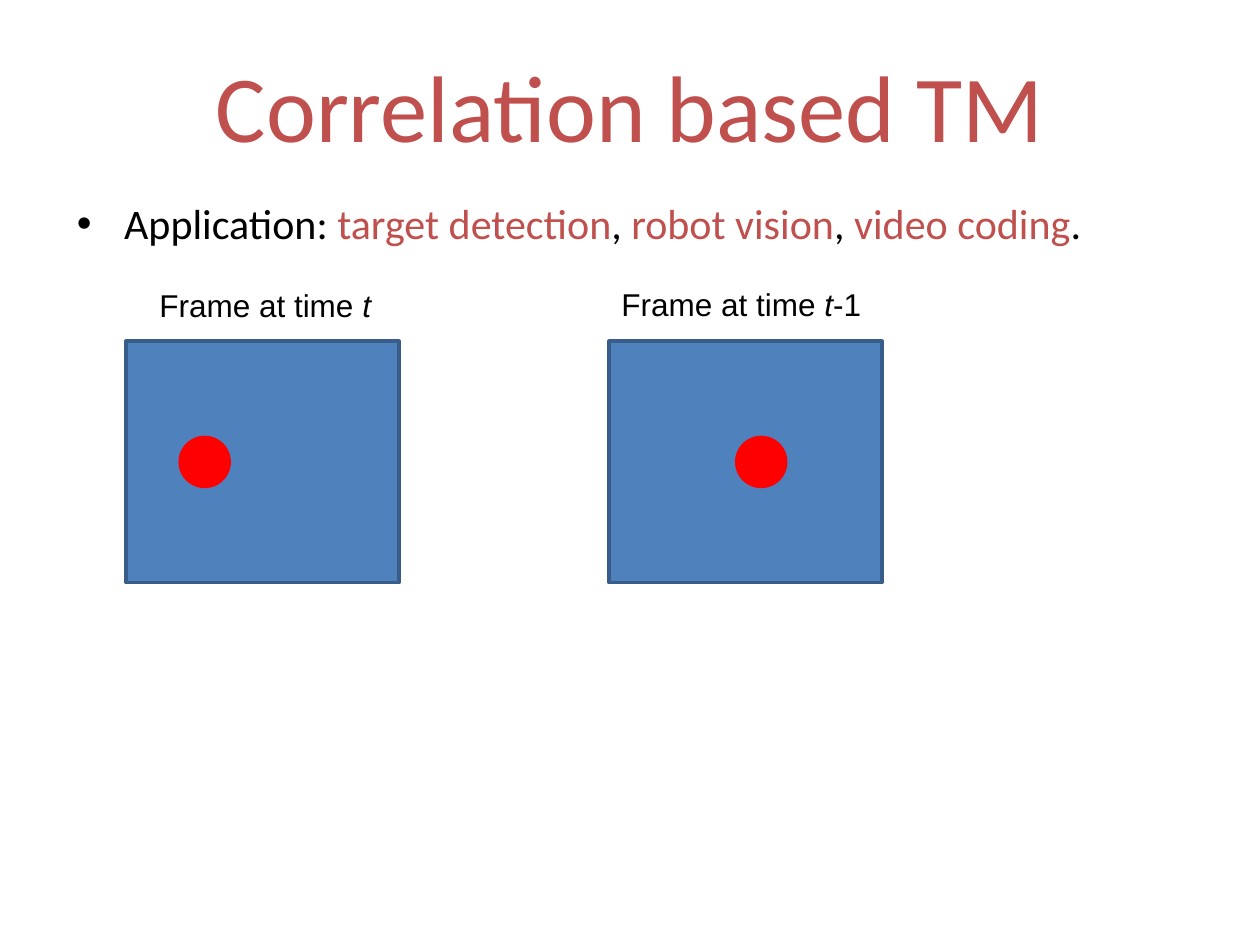
from dataclasses import dataclass

from pptx import Presentation
from pptx.dml.color import RGBColor
from pptx.enum.shapes import MSO_SHAPE
from pptx.enum.text import MSO_ANCHOR, PP_ALIGN
from pptx.oxml.xmlchemy import OxmlElement
from pptx.shapes.autoshape import Shape
from pptx.slide import Slide
from pptx.util import Pt


@dataclass(frozen=True)
class Theme:
    ink: str = "000000"
    accent: str = "C0504D"
    frame: str = "4F81BD"
    edge: str = "385D8A"
    target: str = "FF0000"
    head: str = "Calibri"
    label: str = "Arial"
    title_size: int = 54
    body_size: int = 24
    label_size: int = 18


@dataclass(frozen=True)
class Run:
    text: str
    color: str = "000000"
    italic: bool = False


@dataclass(frozen=True)
class Frame:
    left: float
    dot: float
    label: tuple[float, float, float]
    runs: tuple[Run, ...]


THEME = Theme()
TOP, WIDTH, HEIGHT = 195, 156, 138
DOT_TOP, DOT_SIZE = 249, 30


def place(shape: Shape, left: float, top: float, width: float, height: float) -> None:
    shape.left, shape.top = Pt(left), Pt(top)
    shape.width, shape.height = Pt(width), Pt(height)


def write(shape: Shape, runs: tuple[Run, ...], *, size: int, font: str,
          align: PP_ALIGN = PP_ALIGN.LEFT, anchor: MSO_ANCHOR = MSO_ANCHOR.TOP,
          bullet: float = 0) -> None:
    """Fill a shape with one paragraph; bullet is its hanging indent in points."""
    frame = shape.text_frame
    frame.word_wrap = True
    frame.vertical_anchor = anchor
    para = frame.paragraphs[0]
    para.alignment = align
    para.space_before = Pt(0)
    if bullet:
        props = para._p.get_or_add_pPr()
        props.set("marL", str(Pt(bullet)))
        props.set("indent", str(-Pt(bullet)))
        mark = OxmlElement("a:buChar")
        mark.set("char", "•")
        props.append(mark)
    for item in runs:
        run = para.add_run()
        run.text = item.text
        run.font.name = font
        run.font.size = Pt(size)
        run.font.italic = item.italic
        run.font.color.rgb = RGBColor.from_string(item.color)


def draw(slide: Slide, kind: MSO_SHAPE, left: float, top: float, width: float,
         height: float, fill: str, edge: str | None = None) -> None:
    shape = slide.shapes.add_shape(kind, Pt(left), Pt(top), Pt(width), Pt(height))
    shape.shadow.inherit = False
    shape.fill.solid()
    shape.fill.fore_color.rgb = RGBColor.from_string(fill)
    if edge:
        shape.line.color.rgb = RGBColor.from_string(edge)
        shape.line.width = Pt(2)
    else:
        shape.line.fill.background()


def draw_frame(slide: Slide, item: Frame) -> None:
    draw(slide, MSO_SHAPE.RECTANGLE, item.left, TOP, WIDTH, HEIGHT,
         THEME.frame, THEME.edge)
    draw(slide, MSO_SHAPE.OVAL, item.dot, DOT_TOP, DOT_SIZE, DOT_SIZE, THEME.target)
    left, top, width = item.label
    box = slide.shapes.add_textbox(Pt(left), Pt(top), Pt(width), Pt(29))
    write(box, item.runs, size=THEME.label_size, font=THEME.label)


def main() -> None:
    deck = Presentation()
    deck.slide_width, deck.slide_height = Pt(720), Pt(540)
    slide = deck.slides.add_slide(deck.slide_layouts[1])

    title, body = slide.placeholders
    place(title, 12, 24, 696, 72)
    write(title, (Run("Correlation based TM", THEME.accent),),
          size=THEME.title_size, font=THEME.head,
          align=PP_ALIGN.CENTER, anchor=MSO_ANCHOR.MIDDLE)

    place(body, 36.75, 109.5, 646.5, 52.5)
    uses = (
        Run("Application: "),
        Run("target detection", THEME.accent), Run(", "),
        Run("robot vision", THEME.accent), Run(", "),
        Run("video coding", THEME.accent), Run(". "),
    )
    write(body, uses, size=THEME.body_size, font=THEME.head,
          align=PP_ALIGN.JUSTIFY, bullet=27)

    start = (Run("Frame at time "), Run("t", italic=True))
    frames = (
        Frame(72, 102, (84, 160, 144), start),
        Frame(348, 420, (348, 159.25, 156), (*start, Run("-1"))),
    )
    for item in frames:
        draw_frame(slide, item)
    deck.save("out.pptx")


if __name__ == "__main__":
    main()
